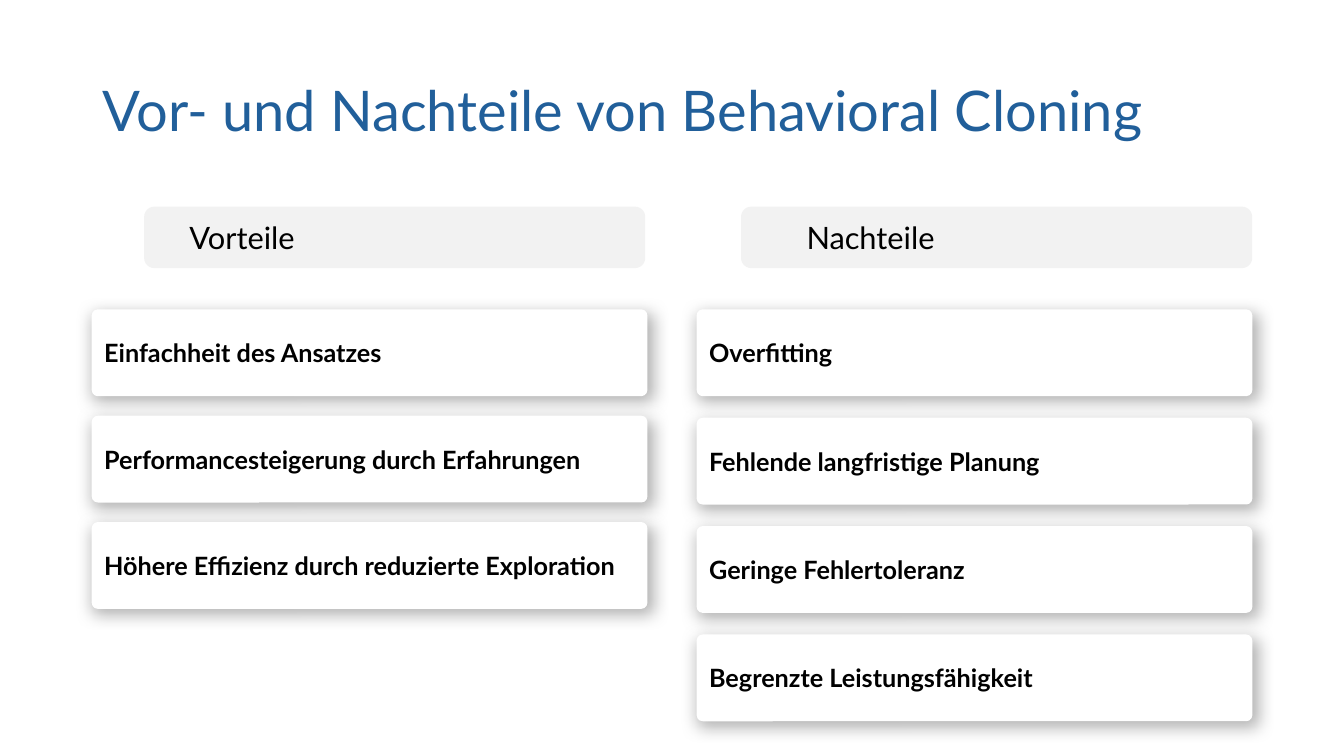
from lxml import etree
from pptx import Presentation
from pptx.dml.color import RGBColor
from pptx.enum import shapes, text
from pptx.oxml.ns import qn
from pptx.util import Inches, Pt

SHADOW = """<a:effectLst xmlns:a="http://schemas.openxmlformats.org/drawingml/2006/main">
<a:outerShdw blurRad="152400" dist="38100" dir="5400000" sx="101000" sy="101000" algn="tl" rotWithShape="0">
<a:srgbClr val="000000"><a:alpha val="30000"/></a:srgbClr></a:outerShdw></a:effectLst>"""


def color(value):
    return RGBColor.from_string(value)


def write(sp, words, size, fill="000000", bold=False):
    """Put one left-aligned, vertically centred line into a shape."""
    tf = sp.text_frame
    tf.word_wrap = True
    tf.vertical_anchor = text.MSO_ANCHOR.MIDDLE
    p = tf.paragraphs[0]
    p.text = words
    p.alignment = text.PP_ALIGN.LEFT
    p.font.name = "Lato"
    p.font.size = Pt(size)
    p.font.bold = bold
    p.font.color.rgb = color(fill)
    return p


prs = Presentation()
prs.slide_width, prs.slide_height = Inches(13.33), Inches(7.5)
s = prs.slides.add_slide(prs.slide_layouts[6])

left, col_step, card_w = Inches(0.92), Inches(6), Inches(5.49)
head_top, head_h = Inches(2.05), Inches(0.61)
card_top, card_h = Inches(3.08), Inches(0.84)

title = s.shapes.add_textbox(left, Inches(0.4), Inches(11.5), Inches(1.45))
write(title, "Vor- und Nachteile von Behavioral Cloning", 40, "215F9A").line_spacing = 0.9

# heading, heading offset, heading width, text inset, row step, cards
columns = [
    ("Vorteile", 0.51, 4.97, 0.42, 1.055,
     ["Einfachheit des Ansatzes", "Performancesteigerung durch Erfahrungen",
      "Höhere Effizienz durch reduzierte Exploration"]),
    ("Nachteile", 0.43, 5.07, 0.62, 1.075,
     ["Overfitting", "Fehlende langfristige Planung",
      "Geringe Fehlertoleranz", "Begrenzte Leistungsfähigkeit"]),
]

for col, (heading, offset, head_w, inset, row_step, cards) in enumerate(columns):
    x = left + col * col_step
    for row, words in enumerate(cards):
        y = card_top + row * Inches(row_step)
        card = s.shapes.add_shape(shapes.MSO_SHAPE.ROUNDED_RECTANGLE, x, y, card_w, card_h)
        card.adjustments[0] = 0.06
        card.fill.solid()
        card.fill.fore_color.rgb = color("FFFFFF")
        card.line.color.rgb = color("FFFFFF")
        card.line.width = Pt(1.5)
        card.shadow.inherit = False
        props = card._element.spPr
        props.replace(props.find(qn("a:effectLst")), etree.fromstring(SHADOW))
        write(card, words, 18, bold=True)

    head = s.shapes.add_shape(shapes.MSO_SHAPE.ROUNDED_RECTANGLE,
                              x + Inches(offset), head_top, Inches(head_w), head_h)
    head.fill.solid()
    head.fill.fore_color.rgb = color("F2F2F2")
    head.line.fill.background()
    head.shadow.inherit = False
    head.text_frame.margin_left = Inches(inset)
    write(head, heading, 22)

prs.save("out.pptx")
